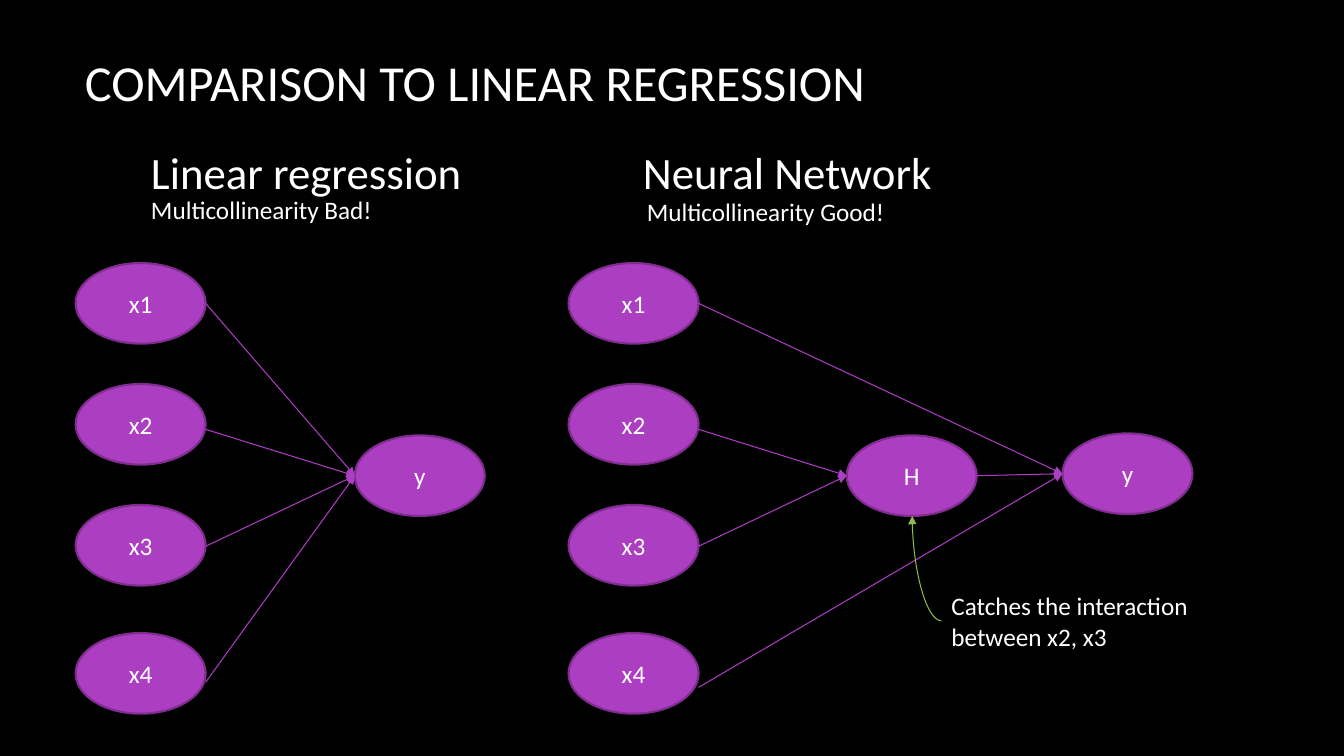
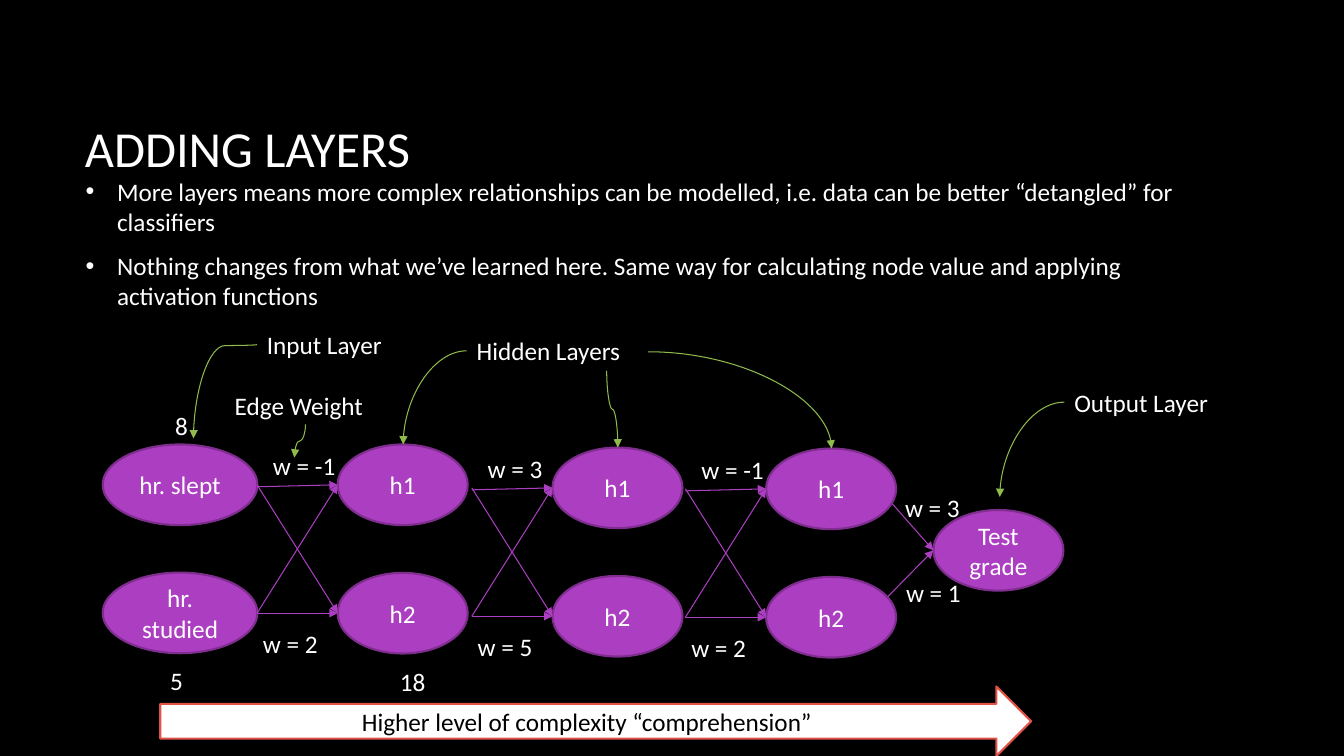
"""Build two slides that compare and extend neural network diagrams."""
from lxml.etree import SubElement
from pptx import Presentation
from pptx.dml.color import RGBColor
from pptx.enum.shapes import MSO_CONNECTOR, MSO_SHAPE
from pptx.enum.text import MSO_ANCHOR, PP_ALIGN
from pptx.oxml.ns import qn
from pptx.util import Pt

COLORS = {
    "background": "000000",
    "text": "FFFFFF",
    "dark_text": "000000",
    "node": "AC3EC1",
    "node_border": "7F2E8F",
    "callout": "90BA4C",
    "banner": "FFFFFF",
    "banner_border": "E25247",
}
FONT = "Calibri"
NODE_WIDTH, NODE_HEIGHT = 92.9, 57.6
HALF_NODE = NODE_HEIGHT / 2
LABEL_HEIGHT = 28.8


def rgb(name):
    return RGBColor.from_string(COLORS[name])


def write_text(frame, text, size=18, color="text", align=PP_ALIGN.LEFT,
               anchor=MSO_ANCHOR.TOP, wrap=True, bullet=None, space_after=0):
    frame.word_wrap = wrap
    frame.vertical_anchor = anchor
    for index, line in enumerate(text.split("\n")):
        paragraph = frame.add_paragraph() if index else frame.paragraphs[0]
        paragraph.alignment = align
        paragraph.space_after = Pt(space_after)
        run = paragraph.add_run()
        run.text = line
        run.font.name = FONT
        run.font.size = Pt(size)
        run.font.color.rgb = rgb(color)
        if bullet:
            properties = paragraph._p.get_or_add_pPr()
            properties.set("marL", str(Pt(22.5)))
            properties.set("indent", str(-Pt(22.5)))
            SubElement(properties, qn("a:buFont"), typeface="Arial")
            SubElement(properties, qn("a:buChar"), char=bullet)


def add_label(slide, text, left, top, width, height=LABEL_HEIGHT, **style):
    box = slide.shapes.add_textbox(Pt(left), Pt(top), Pt(width), Pt(height))
    write_text(box.text_frame, text, **style)


def add_title(slide, text, top):
    add_label(slide, text, 53.6, top, 797.8, 114.5, size=36, anchor=MSO_ANCHOR.MIDDLE)


def add_figure(slide, kind, text, left, top, width, height, fill, border, color="text"):
    figure = slide.shapes.add_shape(kind, Pt(left), Pt(top), Pt(width), Pt(height))
    figure.shadow.inherit = False
    figure.fill.solid()
    figure.fill.fore_color.rgb = rgb(fill)
    figure.line.color.rgb = rgb(border)
    figure.line.width = Pt(1.5)
    write_text(figure.text_frame, text, color=color,
               align=PP_ALIGN.CENTER, anchor=MSO_ANCHOR.MIDDLE)


def add_node(slide, text, left, top, width=NODE_WIDTH):
    add_figure(slide, MSO_SHAPE.OVAL, text, left, top, width, NODE_HEIGHT,
               "node", "node_border")


def add_arrow(slide, start, end, color="node", kind=MSO_CONNECTOR.STRAIGHT):
    arrow = slide.shapes.add_connector(kind, *map(Pt, (*start, *end)))
    arrow.line.color.rgb = rgb(color)
    arrow.line.width = Pt(0.75)
    SubElement(arrow.line._get_or_add_ln(), qn("a:tailEnd"), type="triangle")
    properties = arrow._element.spPr
    SubElement(properties, qn("a:effectLst"))
    return properties


def add_bend(slide, start, end):
    properties = add_arrow(slide, start, end, "callout", MSO_CONNECTOR.CURVE)
    properties.find(qn("a:prstGeom")).set("prst", "curvedConnector2")


def add_drop(slide, start, end, bend=0.5):
    middle_x, middle_y = (start[0] + end[0]) / 2, (start[1] + end[1]) / 2
    half_x, half_y = (end[0] - start[0]) / 2, (end[1] - start[1]) / 2
    properties = add_arrow(slide, (middle_x - half_y, middle_y + half_x),
                           (middle_x + half_y, middle_y - half_x),
                           "callout", MSO_CONNECTOR.CURVE)
    properties.find(qn("a:xfrm")).set("rot", "5400000")
    geometry = properties.find(qn("a:prstGeom"))
    adjustments = geometry.find(qn("a:avLst"))
    if adjustments is None:
        adjustments = SubElement(geometry, qn("a:avLst"))
    SubElement(adjustments, qn("a:gd"), name="adj1", fmla=f"val {round(bend * 100000)}")


def add_inputs(slide, left, targets, last_start):
    tops = (187.9, 274.3, 360.7, 452.2)
    starts = (216.7, 306.7, 390.2, last_start)
    for number, (top, start, target) in enumerate(zip(tops, starts, targets), 1):
        add_node(slide, f"x{number}", left, top)
        add_arrow(slide, (left + NODE_WIDTH, start), target)


def build_comparison(slide):
    add_title(slide, "COMPARISON TO LINEAR REGRESSION", 0.7)
    outcome, hidden, network_outcome = (253.4, 339.8), (604.8, 339.8), (758.9, 338.4)
    for text, (left, middle) in (("y", outcome), ("H", hidden), ("y", network_outcome)):
        add_node(slide, text, left, middle - HALF_NODE)
    add_inputs(slide, 54, [outcome] * 4, 487.4)
    add_inputs(slide, 406.1, [network_outcome, hidden, hidden, network_outcome], 491)
    add_arrow(slide, (hidden[0] + NODE_WIDTH, hidden[1]), network_outcome)
    add_label(slide, "Linear regression", 100.8, 100.1, 240.5, 46, size=32)
    add_label(slide, "Neural Network", 452.2, 100.1, 240.5, 46, size=32)
    add_label(slide, "Multicollinearity Bad!", 100.8, 135.4, 240.5)
    add_label(slide, "Multicollinearity Good!", 455, 136.8, 186.5, wrap=False)
    add_label(slide, "Catches the interaction\u0020between x2, x3", 672.5, 418.3, 200.2, 51)
    add_bend(slide, (672.5, 443.5), (651.6, 368.6))


def add_hidden_layer(slide, left, top, upper_weight, lower_weight):
    drop = 91.7
    start, upper, lower = left - 57.6, top + HALF_NODE, top + drop + HALF_NODE
    add_node(slide, "h1", left, top)
    add_node(slide, "h2", left, top + drop)
    for begin, end in ((upper + 1.4, upper), (lower, lower), (lower, upper), (upper, lower)):
        add_arrow(slide, (start, begin), (left, end))
    add_label(slide, upper_weight, left - 53.3, top + 0.7, 59.8, wrap=False)
    add_label(slide, lower_weight, left - 60.5, top + 127.5, 60.5)


def build_layers(slide):
    add_title(slide, "ADDING LAYERS", 48.2)
    add_label(
        slide,
        "More layers means more complex relationships can be modelled, i.e. data can be "
        "better “detangled” for classifiers\n"
        "Nothing changes from what we’ve learned here. Same way for calculating node value "
        "and applying activation functions",
        54, 116.6, 797.8, 114.5, anchor=MSO_ANCHOR.MIDDLE, bullet="•", space_after=10)

    add_node(slide, "hr. slept", 73.4, 317.5, 110.5)
    add_node(slide, "hr. studied", 73.4, 409, 110.5)
    grade_left, grade_top = 666.7, 364.3
    add_node(slide, "Test grade", grade_left, grade_top)
    for start in (344.9, 436.3):
        add_arrow(slide, (624.2, start), (grade_left, grade_top + HALF_NODE))
    for layer in ((241.2, 317.5, "w = -1", "w = 2"),
                  (394.6, 319.7, "w = 3", "w = 5"),
                  (547.2, 320.4, "w = -1", "w = 2")):
        add_hidden_layer(slide, *layer)

    for text, left, top, width in (
            ("w = 3", 639.4, 347.8, 60.5), ("w = 1", 640.1, 409, 60.5),
            ("Input Layer", 183.6, 231.8, 117.4), ("Edge Weight", 160.6, 275, 117.4),
            ("Hidden Layers", 333.4, 236.2, 200.2), ("Output Layer", 760.3, 272.9, 199.7)):
        add_label(slide, text, left, top, width)
    for text, left, top, width in (("8", 118.1, 289.4, 23.8), ("5", 114.5, 471.6, 23.8),
                                   ("18", 278.6, 472.3, 33.1)):
        add_label(slide, text, left, top, width, wrap=False)

    for start, end in (((333.4, 250.6), (288, 317.5)),
                       ((463, 251.3), (594, 320.4)),
                       ((760.3, 287.3), (714.2, 355))):
        add_bend(slide, start, end)
    add_drop(slide, (183.6, 246.2), (138.2, 313.2), 0.01)
    add_drop(slide, (218.2, 303.1), (210.2, 326.9))
    add_drop(slide, (433.4, 265), (441.4, 319.7))
    add_figure(slide, MSO_SHAPE.RIGHT_ARROW, "Higher level of complexity “comprehension”",
               114.5, 490.3, 622.1, 49.7, "banner", "banner_border", "dark_text")


def main():
    deck = Presentation()
    deck.slide_width, deck.slide_height = Pt(960), Pt(540)
    background = deck.slide_master.background.fill
    background.solid()
    background.fore_color.rgb = rgb("background")
    for build in (build_comparison, build_layers):
        build(deck.slides.add_slide(deck.slide_layouts[6]))
    deck.save("out.pptx")


if __name__ == "__main__":
    main()
